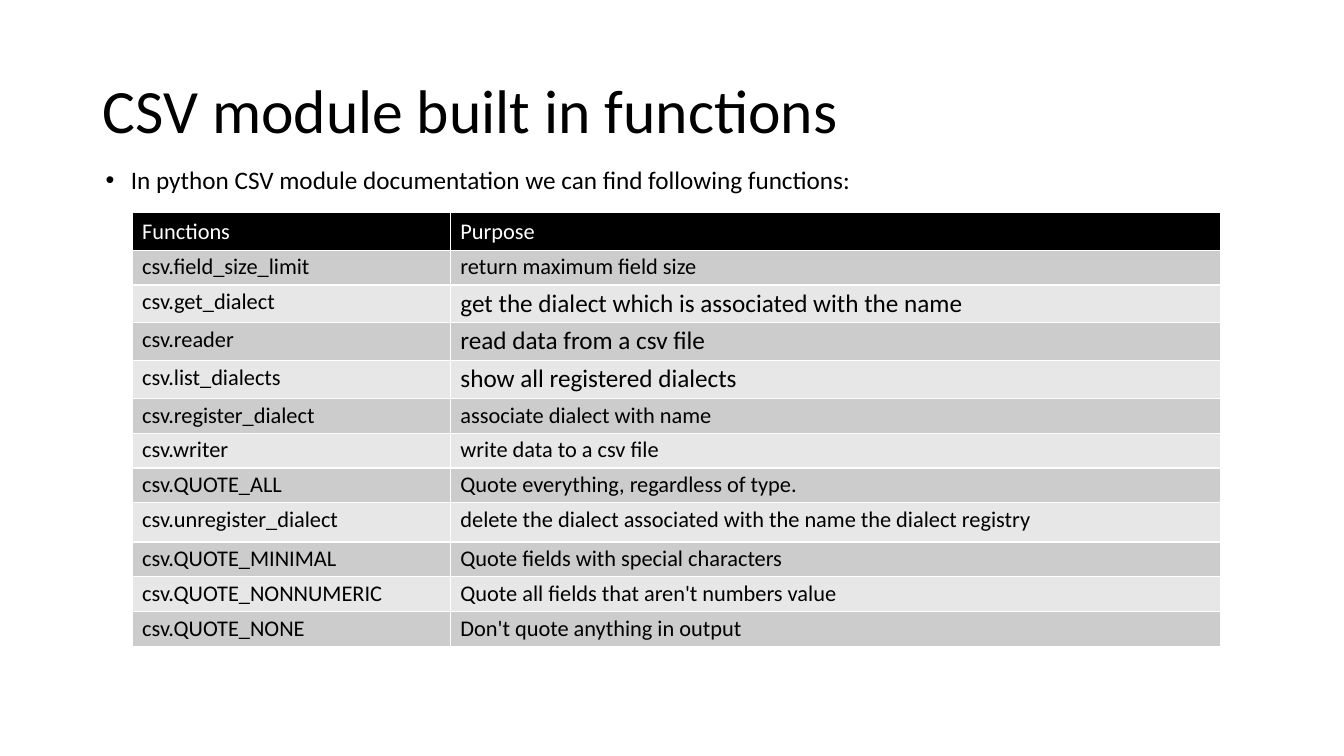
from lxml.etree import SubElement
from pptx import Presentation
from pptx.dml.color import RGBColor
from pptx.enum.text import MSO_ANCHOR, MSO_AUTO_SIZE, PP_ALIGN
from pptx.oxml.ns import qn
from pptx.util import Cm, Pt

TITLE = "CSV module built in functions"
INTRO = "In python CSV module documentation we can find following functions:"
HEADINGS = ("Functions", "Purpose")
# function, purpose, size of the purpose text
FUNCTIONS = [
    ("csv.field_size_limit", "return maximum field size", 16),
    ("csv.get_dialect", "get the dialect which is associated with the name", 18),
    ("csv.reader", "read data from a csv file", 18),
    ("csv.list_dialects", "show all registered dialects", 18),
    ("csv.register_dialect", "associate dialect with name", 16),
    ("csv.writer", "write data to a csv file", 16),
    ("csv.QUOTE_ALL", "Quote everything, regardless of type.", 16),
    ("csv.unregister_dialect",
     "delete the dialect associated with the name the dialect registry", 16),
    ("csv.QUOTE_MINIMAL", "Quote fields with special characters", 16),
    ("csv.QUOTE_NONNUMERIC", "Quote all fields that aren't numbers value", 16),
    ("csv.QUOTE_NONE", "Don't quote anything in output", 16),
]
COLORS = {"text": "000000", "header": "000000", "header_text": "FFFFFF",
          "odd": "CCCCCC", "even": "E7E7E7"}
FONT = "Calibri"
COLUMN_WIDTHS = (Cm(8.02), Cm(19.4))
HEADER_HEIGHT, ROW_HEIGHT, TALL_ROW_HEIGHT = Cm(0.81), Cm(0.76), Cm(0.99)
TALL_ROW = "csv.unregister_dialect"
TABLE_HEIGHT = Cm(10.77)


def style_paragraph(para, size, color="text", spacing=0.9):
    para.line_spacing = spacing
    para.space_before = Pt(0)
    para.font.name = FONT
    para.font.size = Pt(size)
    para.font.bold = False
    para.font.color.rgb = RGBColor.from_string(COLORS[color])


def place(shape, left, top, width, height):
    shape.left, shape.top, shape.width, shape.height = left, top, width, height


def fill_cell(cell, text, fill, size, color="text", spacing=0.9):
    cell.fill.solid()
    cell.fill.fore_color.rgb = RGBColor.from_string(COLORS[fill])
    cell.text = text
    style_paragraph(cell.text_frame.paragraphs[0], size, color, spacing)


def add_title(page):
    title = page.shapes.title
    place(title, Cm(2.33), Cm(1.01), Cm(29.21), Cm(3.68))
    frame = title.text_frame
    frame.text = TITLE
    frame.auto_size = MSO_AUTO_SIZE.NONE
    frame.vertical_anchor = MSO_ANCHOR.MIDDLE
    para = frame.paragraphs[0]
    para.alignment = PP_ALIGN.LEFT
    style_paragraph(para, 44)


def add_intro(page):
    body = page.placeholders[1]
    place(body, Cm(2.41), Cm(4.11), Cm(29.21), Cm(11.68))
    frame = body.text_frame
    frame.text = INTRO
    frame.auto_size = MSO_AUTO_SIZE.NONE
    para = frame.paragraphs[0]
    properties = para._p.get_or_add_pPr()
    properties.set("marL", str(Pt(18)))
    properties.set("indent", str(-Pt(18)))
    SubElement(properties, qn("a:buFont"), typeface="Arial")
    SubElement(properties, qn("a:buChar"), char="•")
    style_paragraph(para, 18)


def add_function_table(page):
    frame = page.shapes.add_table(
        len(FUNCTIONS) + 1, len(HEADINGS), Cm(3.33), Cm(5.36),
        sum(COLUMN_WIDTHS), TABLE_HEIGHT)
    table = frame.table
    for column, width in zip(table.columns, COLUMN_WIDTHS):
        column.width = width
    table.rows[0].height = HEADER_HEIGHT
    for index, heading in enumerate(HEADINGS):
        fill_cell(table.cell(0, index), heading, "header", 16, "header_text", 1.0)
    for index, (name, purpose, size) in enumerate(FUNCTIONS, start=1):
        table.rows[index].height = TALL_ROW_HEIGHT if name == TALL_ROW else ROW_HEIGHT
        band = "odd" if index % 2 else "even"
        fill_cell(table.cell(index, 0), name, band, 16)
        fill_cell(table.cell(index, 1), purpose, band, size)
    frame.height = TABLE_HEIGHT


def main():
    deck = Presentation()
    deck.slide_width, deck.slide_height = Cm(33.87), Cm(19.05)
    page = deck.slides.add_slide(deck.slide_layouts[1])
    add_title(page)
    add_intro(page)
    add_function_table(page)
    deck.save("out.pptx")


if __name__ == "__main__":
    main()
